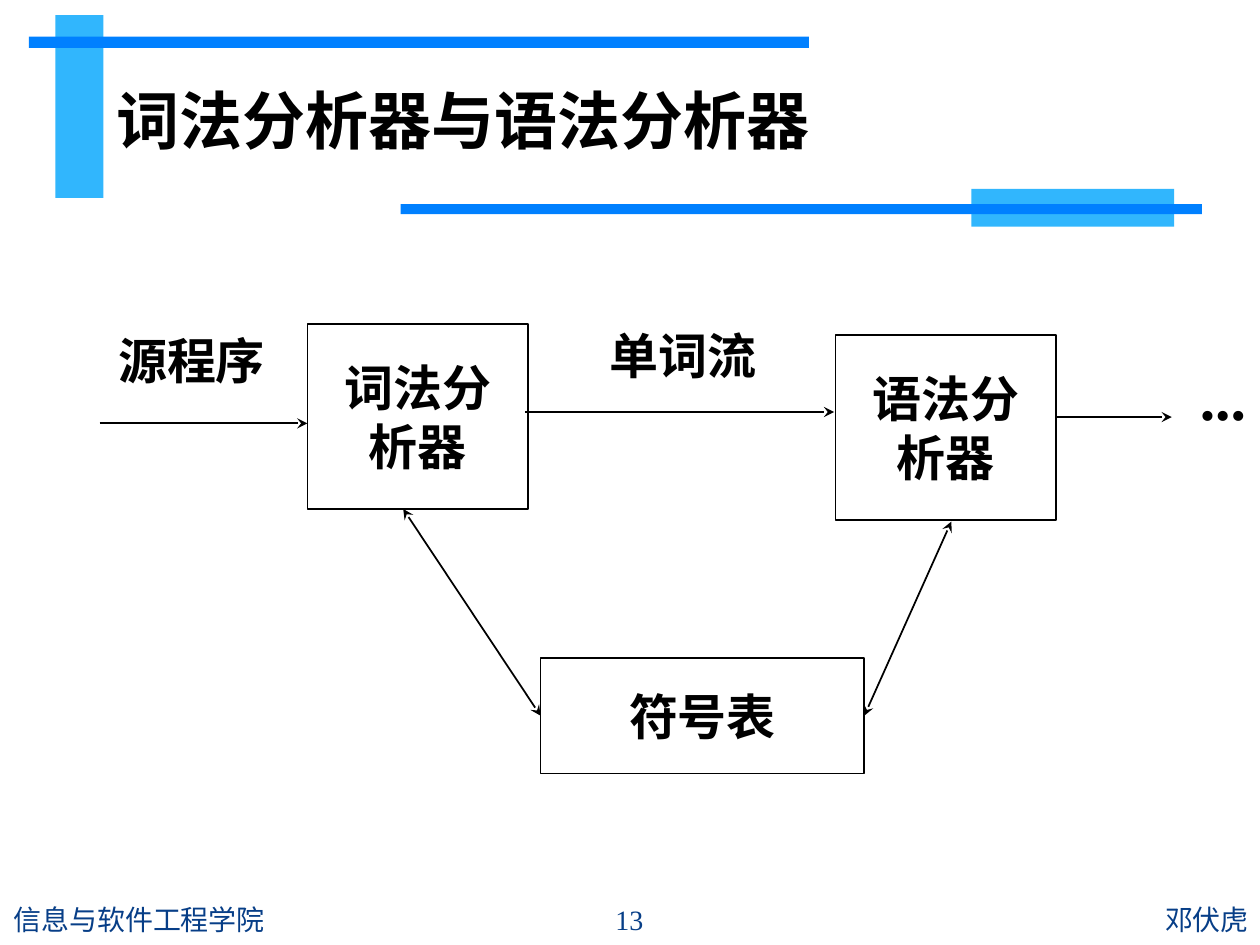
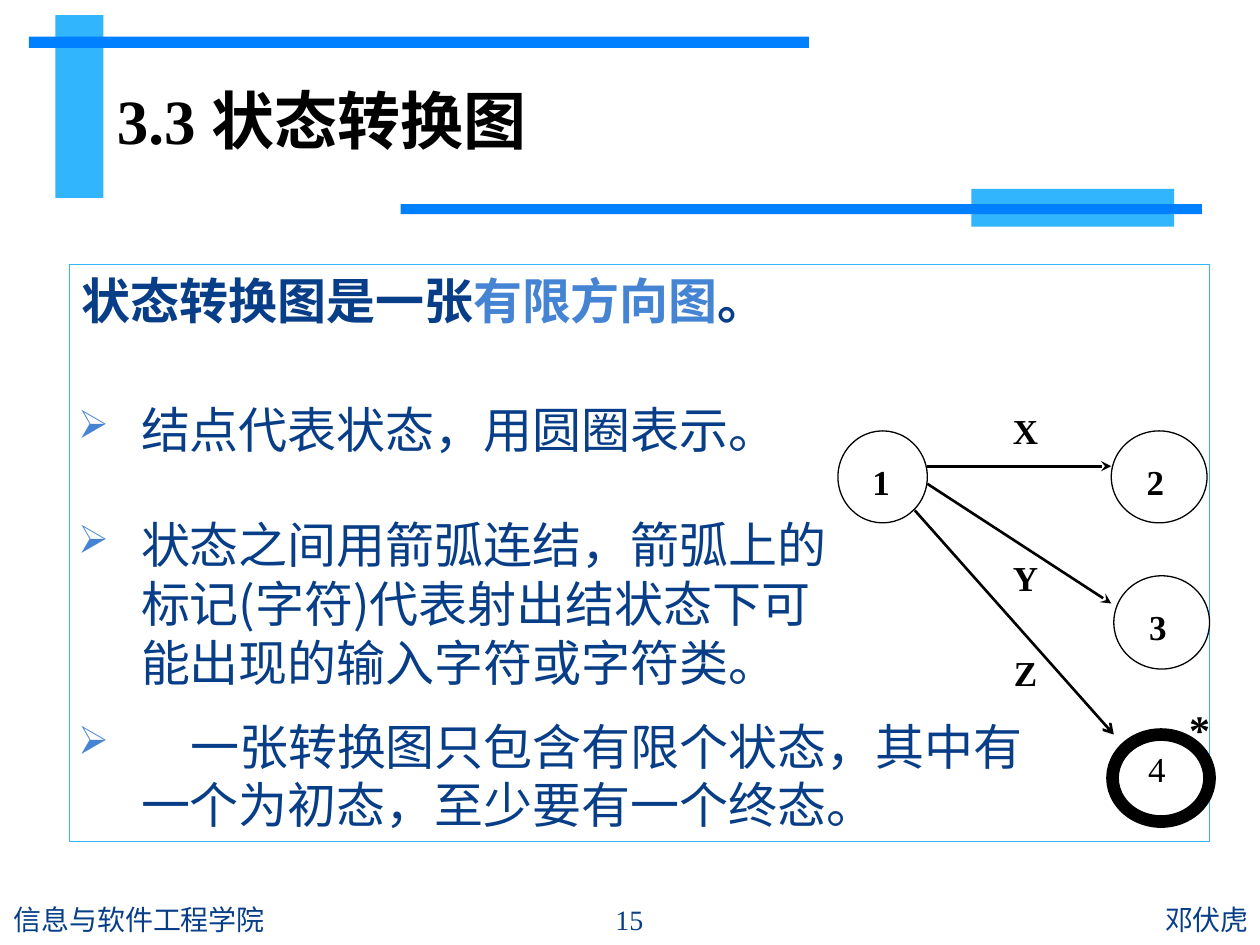
"""Build two slides on lexical analysis and state diagrams."""
import dataclasses
import typing

import lxml.etree
import pptx
import pptx.dml.color
import pptx.enum.shapes
import pptx.enum.text
import pptx.oxml.ns
import pptx.util

Inches = pptx.util.Inches
Pt = pptx.util.Pt
RGB = pptx.dml.color.RGBColor
ALIGN = pptx.enum.text.PP_ALIGN
ANCHOR = pptx.enum.text.MSO_ANCHOR
SHAPE = pptx.enum.shapes.MSO_SHAPE
LINK = pptx.enum.shapes.MSO_CONNECTOR
qn = pptx.oxml.ns.qn

SKY = RGB(0x31, 0xB6, 0xFD)
BLUE = RGB(0x00, 0x80, 0xFF)
NAVY = RGB(0x07, 0x3E, 0x87)
STEEL = RGB(0x45, 0x84, 0xD3)
BLACK = RGB(0, 0, 0)
TIMES, NOTO = "Times New Roman", "Noto Sans CJK SC"
Area = tuple[float, float, float, float]
Spot = tuple[float, float]


def pad(left: float, top: float, right: float, low: float) -> dict[str, typing.Any]:
    """Give the frame margins as format values."""
    keys = ("margin_left", "margin_top", "margin_right", "margin_bottom")
    return dict(zip(keys, map(Inches, (left, top, right, low))))


MID = {"vertical_anchor": ANCHOR.MIDDLE, "word_wrap": True}
LOOSE = {**MID, "word_wrap": False}
WIDE = pad(0.11, 0.06, 0.11, 0.06)
TOP = {"vertical_anchor": ANCHOR.TOP, "word_wrap": True}
RING = {**TOP, **pad(0.17, 0.13, 0.13, 0.13)}
FINAL = {**TOP, **pad(0.17, 0, 0.17, 0)}


@dataclasses.dataclass(frozen=True)
class Run:
    """A piece of text in one style."""
    text: str
    size: float = 28
    face: str = TIMES
    tint: RGB = BLACK
    bold: bool = True


@dataclasses.dataclass(frozen=True)
class Bar:
    """A filled band of the slide frame."""
    at: Area
    tint: RGB


@dataclasses.dataclass(frozen=True)
class Box:
    """A text box or an outlined shape with text."""
    at: Area
    lines: tuple[tuple[Run, ...], ...]
    form: dict[str, typing.Any]
    align: ALIGN = ALIGN.CENTER
    kind: SHAPE | None = None
    edge: RGB = BLACK
    width: float = 1
    bullet: bool = False


@dataclasses.dataclass(frozen=True)
class Arrow:
    """A line with arrowheads, joined to a box side if one is named."""
    start: Spot
    end: Spot
    width: float = 1
    head: str = "none"
    tail: str = "stealth"
    join: tuple[int, int] | None = None


BARS = (
    Bar((0.44, 0.12, 0.38, 1.45), SKY),
    Bar((0.23, 0.29, 6.19, 0.09), BLUE),
    Bar((7.71, 1.5, 1.61, 0.3), SKY),
    Bar((3.18, 1.62, 6.36, 0.08), BLUE),
)


def style(item: typing.Any, form: dict[str, typing.Any]) -> None:
    """Set each format value on the item."""
    for key, value in form.items():
        setattr(item, key, value)


def mark(para: typing.Any) -> None:
    """Give a paragraph its arrow bullet and hanging indent."""
    props = para._p.get_or_add_pPr()
    style_at = {"marL": Inches(0.5), "indent": -Inches(0.5)}
    for key, value in style_at.items():
        props.set(key, str(int(value)))
    tint = lxml.etree.SubElement(props, qn("a:buClr"))
    parts = (
        (tint, "a:srgbClr", {"val": str(STEEL)}),
        (props, "a:buSzPct", {"val": "80000"}),
        (props, "a:buChar", {"char": "➢"}),
    )
    for owner, tag, value in parts:
        lxml.etree.SubElement(owner, qn(tag), value)
    tabs = lxml.etree.SubElement(props, qn("a:tabLst"))
    lxml.etree.SubElement(tabs, qn("a:tab"), pos=str(int(Inches(0.89))), algn="l")


def write(para: typing.Any, run: Run) -> None:
    """Add one styled run to a paragraph."""
    part = para.add_run()
    part.text = run.text
    style(part.font, {"size": Pt(run.size), "bold": run.bold, "name": run.face})
    part.font.color.rgb = run.tint
    east = lxml.etree.Element(qn("a:ea"), typeface=NOTO)
    part._r.rPr.find(qn("a:latin")).addnext(east)


def draw_bar(slide: typing.Any, bar: Bar) -> None:
    """Draw one filled band."""
    shape = slide.shapes.add_shape(SHAPE.RECTANGLE, *map(Inches, bar.at))
    shape.shadow.inherit = False
    shape.fill.solid()
    shape.fill.fore_color.rgb = bar.tint
    shape.line.fill.background()


def draw_box(slide: typing.Any, box: Box) -> typing.Any:
    """Draw a box with its text."""
    area = map(Inches, box.at)
    if box.kind is None:
        shape = slide.shapes.add_textbox(*area)
    else:
        shape = slide.shapes.add_shape(box.kind, *area)
        shape.shadow.inherit = False
        shape.fill.background()
        shape.line.color.rgb = box.edge
        shape.line.width = Pt(box.width)
    frame = shape.text_frame
    style(frame, box.form)
    for place, line in enumerate(box.lines):
        para = frame.add_paragraph() if place else frame.paragraphs[0]
        para.alignment = box.align
        if box.bullet:
            mark(para)
        for run in line:
            write(para, run)
    return shape


def draw_arrow(slide: typing.Any, arrow: Arrow, shapes: list[typing.Any]) -> None:
    """Draw a line with its heads."""
    link = slide.shapes.add_connector(
        LINK.STRAIGHT, *map(Inches, arrow.start + arrow.end))
    if arrow.join:
        index, side = arrow.join
        link.end_connect(shapes[index], side)
    link.line.color.rgb = BLACK
    link.line.width = Pt(arrow.width)
    line = link.line._get_or_add_ln()
    for tag, kind in (("a:headEnd", arrow.head), ("a:tailEnd", arrow.tail)):
        lxml.etree.SubElement(line, qn(tag), type=kind)
    lxml.etree.SubElement(link._element.spPr, qn("a:effectLst"))


def build(deck: typing.Any, page: str, title: tuple[Run, ...],
          boxes: tuple[Box, ...], arrows: tuple[Arrow, ...]) -> None:
    """Add a slide with its frame, title, boxes and arrows."""
    slide = deck.slides.add_slide(deck.slide_layouts[6])
    for bar in BARS:
        draw_bar(slide, bar)
    feet = (
        (5.65, 4.36, "邓伏虎", "Calibri", ALIGN.RIGHT),
        (0.01, 4.34, "信息与软件工程学院", "Calibri", ALIGN.LEFT),
        (4.36, 1.27, page, TIMES, ALIGN.CENTER),
    )
    for left, width, text, face, align in feet:
        run = Run(text, 16, face, NAVY, False)
        draw_box(slide, Box((left, 7.1, width, 0.4), ((run,),), MID, align))
    draw_box(slide, Box((0.83, 0.44, 7.72, 1.02), (title,), MID, ALIGN.LEFT))
    shapes = [draw_box(slide, box) for box in boxes]
    for arrow in arrows:
        draw_arrow(slide, arrow, shapes)


def block(at: Area, *lines: str) -> Box:
    """Make an outlined block of the flow."""
    rows = tuple((Run(line),) for line in lines)
    return Box(at, rows, {**LOOSE, **WIDE}, kind=SHAPE.RECTANGLE)


def label(at: Area, text: str, size: float = 28,
          form: dict[str, typing.Any] = LOOSE) -> Box:
    """Make a bold centred label."""
    return Box(at, ((Run(text, size),),), form)


def point(top: float, width: float, height: float, text: str) -> Box:
    """Make a bulleted point."""
    run = Run(text, face=NOTO, tint=NAVY, bold=False)
    return Box((0.51, top, width, height), ((run,),), {**MID, **WIDE},
               ALIGN.LEFT, bullet=True)


def state(at: Area, text: str, last: bool = False) -> Box:
    """Make a state circle, heavy if it is the last."""
    run = Run(text, 20, bold=not last)
    return Box(at, ((run,),), FINAL if last else RING, ALIGN.JUSTIFY,
               SHAPE.OVAL, width=7.25 if last else 0.75)


def flow(deck: typing.Any) -> None:
    """Build the slide on the two analysers."""
    form = {**LOOSE, **WIDE}
    boxes = (
        block((2.44, 2.57, 1.75, 1.47), "词法分", "析器"),
        block((6.63, 2.66, 1.75, 1.47), "语法分", "析器"),
        block((4.29, 5.22, 2.57, 0.92), "符号表"),
        label((0.6, 2.44, 1.84, 0.83), "源程序", form=form),
        label((4.63, 2.39, 1.58, 0.86), "单词流", form=form),
        label((9.2, 2.73, 1.01, 0.83), "...", 35.2, form),
    )
    arrows = (
        Arrow((0.79, 3.36), (2.44, 3.36)),
        Arrow((4.17, 3.27), (6.62, 3.27)),
        Arrow((3.2, 4.04), (4.29, 5.68), head="stealth", join=(2, 1)),
        Arrow((7.55, 4.14), (6.86, 5.68), head="stealth", join=(2, 3)),
        Arrow((8.39, 3.31), (9.3, 3.31)),
    )
    build(deck, "13", (Run("词法分析器与语法分析器", 36, "Arial"),), boxes, arrows)


def graph(deck: typing.Any) -> None:
    """Build the slide on the state diagram."""
    lead = tuple(Run(text, face=NOTO, tint=tint) for text, tint in (
        ("状态转换图是一张", NAVY), ("有限方向图", STEEL), ("。", NAVY)))
    boxes = (
        Box((0.55, 2.1, 9.05, 4.58), (lead,), TOP, ALIGN.LEFT,
            SHAPE.RECTANGLE, SKY, 0.75),
        point(3.11, 6.84, 0.59, "结点代表状态，用圆圈表示。"),
        point(4.02, 6.34, 1.53, "状态之间用箭弧连结，箭弧上的标记(字符)"
              "代表射出结状态下可能出现的输入字符或字符类。"),
        point(5.62, 8.08, 1.06, "\t一张转换图只包含有限个状态，"
              "其中有一个为初态，至少要有一个终态。"),
        state((6.65, 3.42, 0.71, 0.73), "1"),
        state((8.82, 3.42, 0.76, 0.73), "2"),
        state((8.84, 4.57, 0.76, 0.74), "3"),
        state((8.83, 5.83, 0.77, 0.69), "4", True),
        label((7.68, 3.1, 0.92, 0.64), "X", 20),
        label((7.68, 4.26, 0.92, 0.64), "Y", 20),
        label((7.81, 5.12, 0.66, 0.44), "Z", 20, TOP),
        label((9.2, 5.55, 0.64, 0.46), "*", 24),
    )
    arrows = (
        Arrow((7.36, 3.7), (8.82, 3.7), 1.5),
        Arrow((7.36, 3.84), (8.82, 4.79), 1.5),
        Arrow((7.26, 4.05), (8.84, 5.83), 1.5, tail="arrow"),
    )
    title = (Run("3.3 ", 36), Run("状态转换图", 36, NOTO))
    build(deck, "15", title, boxes, arrows)


def main() -> None:
    """Build and save the deck."""
    deck = pptx.Presentation()
    style(deck, {"slide_width": Inches(10), "slide_height": Inches(7.5)})
    flow(deck)
    graph(deck)
    deck.save("out.pptx")


if __name__ == "__main__":
    main()
